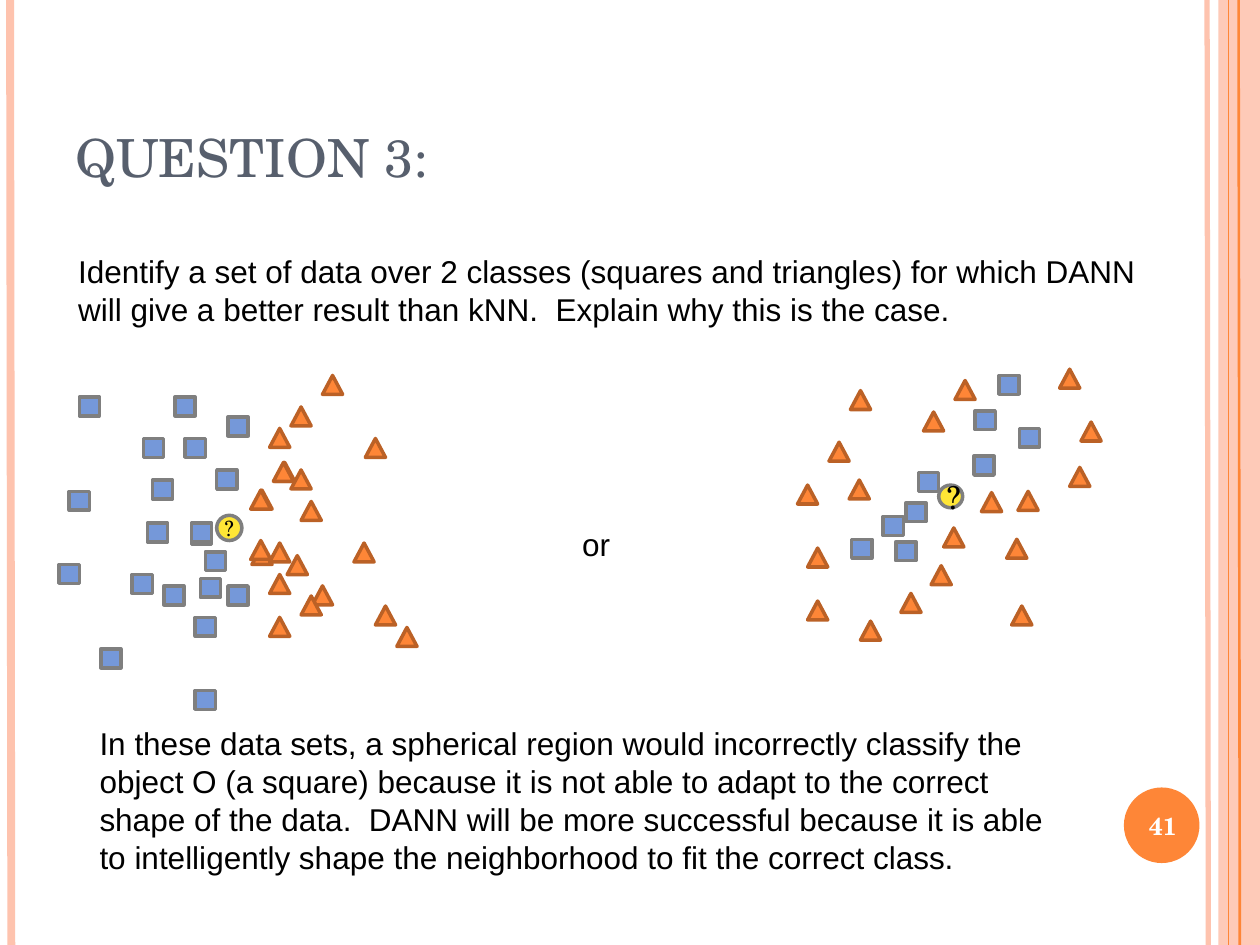
from lxml import etree
from pptx import Presentation
from pptx import util as u
from pptx.dml import color
from pptx.enum import shapes, text
from pptx.oxml import ns

PX = 9144  # 100 px to the inch
COLORS = {
    "peach": "FEC3AE", "orange": "FE8637", "rust": "BB6126",
    "blue": "7598D9", "gray": "7F7F7F", "yellow": "FFE636",
    "slate": "575F6D", "black": "000000", "white": "FFFFFF",
}
SERIF = "TeX Gyre Schola"
KINDS = shapes.MSO_SHAPE

deck = Presentation()
deck.slide_width, deck.slide_height = 1000 * PX, 750 * PX
page = deck.slides.add_slide(deck.slide_layouts[6])


def rgb(name):
    return color.RGBColor.from_string(COLORS[name])


def add_text(words, at, size=18, font="Arial", ink="black", bold=False,
             align="LEFT", anchor="TOP", insets=(4, 0, 4, 0)):
    box = page.shapes.add_textbox(*[n * PX for n in at])
    frame = box.text_frame
    frame.word_wrap = True
    frame.vertical_anchor = text.MSO_ANCHOR[anchor]
    (frame.margin_left, frame.margin_top,
     frame.margin_right, frame.margin_bottom) = [n * PX for n in insets]
    para = frame.paragraphs[0]
    para.alignment = text.PP_ALIGN[align]
    span = para.add_run()
    span.text = words
    span.font.name, span.font.size, span.font.bold = font, u.Pt(size), bold
    span.font.color.rgb = rgb(ink)


def add_shape(kind, at, fill, line=None, alpha=None):
    shape = page.shapes.add_shape(kind, *[n * PX for n in at])
    shape.shadow.inherit = False
    shape.fill.solid()
    shape.fill.fore_color.rgb = rgb(fill)
    if alpha:
        tint = shape.fill._xPr.find(".//" + ns.qn("a:srgbClr"))
        etree.SubElement(tint, ns.qn("a:alpha"), val=str(alpha * 1000))
    if line:
        shape.line.color.rgb = rgb(line)
        shape.line.width = u.Pt(2)
    else:
        shape.line.fill.background()


# Side stripes
add_shape(KINDS.RECTANGLE, (967, 0, 33, 750), "peach", alpha=87)
for left, right, ink, width in [
    (958, 959, "peach", 3), (8, 9, "peach", 4.5),
    (983, 984, "orange", 1.5), (975, 975, "orange", 0.75),
]:
    stripe = page.shapes.add_connector(
        shapes.MSO_CONNECTOR.STRAIGHT, left * PX, 0, right * PX, 750 * PX)
    stripe.line.color.rgb = rgb(ink)
    stripe.line.width = u.Pt(width)
    etree.SubElement(stripe._element.spPr, ns.qn("a:effectLst"))

# Page number
add_shape(KINDS.OVAL, (892, 625, 60, 60), "orange")
add_text("41", (889, 638, 68, 35), size=14, font=SERIF, ink="white",
         bold=True, align="CENTER", anchor="MIDDLE")

# Title and question
add_text("QUESTION 3:", (50, 0, 817, 155), size=30, font=SERIF, ink="slate",
         anchor="BOTTOM", insets=(10, 6, 14, 6))
add_text("Identify a set of data over 2 classes (squares and triangles) for "
         "which DANN will give a better result than kNN.  Explain why this is "
         "the case.", (58, 200, 860, 68))

# Data points of both sets, by left and top
left_squares = [
    (152, 417), (155, 548), (163, 438), (181, 331), (114, 348), (155, 490),
    (147, 348), (130, 465), (181, 465), (172, 373), (105, 456), (139, 315),
    (159, 459), (121, 381), (117, 415), (152, 415), (63, 315), (55, 390),
    (47, 448), (80, 515),
]
left_triangles = [
    (218, 367), (200, 433), (200, 389), (228, 441), (239, 398), (231, 373),
    (214, 456), (248, 465), (214, 490), (214, 340), (214, 431), (239, 473),
    (231, 323), (217, 367), (199, 429), (199, 389), (256, 298), (281, 431),
    (298, 481), (315, 498), (290, 348),
]
right_squares = [
    (719, 399), (809, 340), (676, 428), (774, 326), (711, 430), (773, 362),
    (793, 298), (701, 410), (729, 375),
]
right_triangles = [
    (799, 428), (739, 449), (658, 351), (715, 471), (858, 335), (849, 371),
    (808, 390), (749, 419), (779, 391), (803, 481), (733, 327), (683, 493),
    (675, 310), (841, 293), (758, 302), (674, 381), (633, 385), (641, 435),
    (641, 477),
]
for kind, fill, line, points in [
    (KINDS.RECTANGLE, "blue", "gray", left_squares + right_squares),
    (KINDS.ISOSCELES_TRIANGLE, "orange", "rust",
     left_triangles + right_triangles),
]:
    for left, top in points:
        add_shape(kind, (left, top, 16, 15), fill, line)

# Objects to classify
for circle, label, size in [
    ((172, 409, 20, 20), (175, 403, 14, 32), 12),
    ((745, 385, 19, 18), (750, 375, 14, 39), 18),
]:
    add_shape(KINDS.OVAL, circle, "yellow", "gray")
    add_text("?", label, size=size, font=SERIF, align="CENTER",
             anchor="MIDDLE", insets=(0, 0, 0, 0))

# Link word and answer
add_text("or", (458, 417, 151, 39))
add_text("In these data sets, a spherical region would incorrectly classify "
         "the object O (a square) because it is not able to adapt to the "
         "correct shape of the data.  DANN will be more successful because it "
         "is able to intelligently shape the neighborhood to fit the correct "
         "class.", (75, 575, 776, 126))

deck.save("out.pptx")
